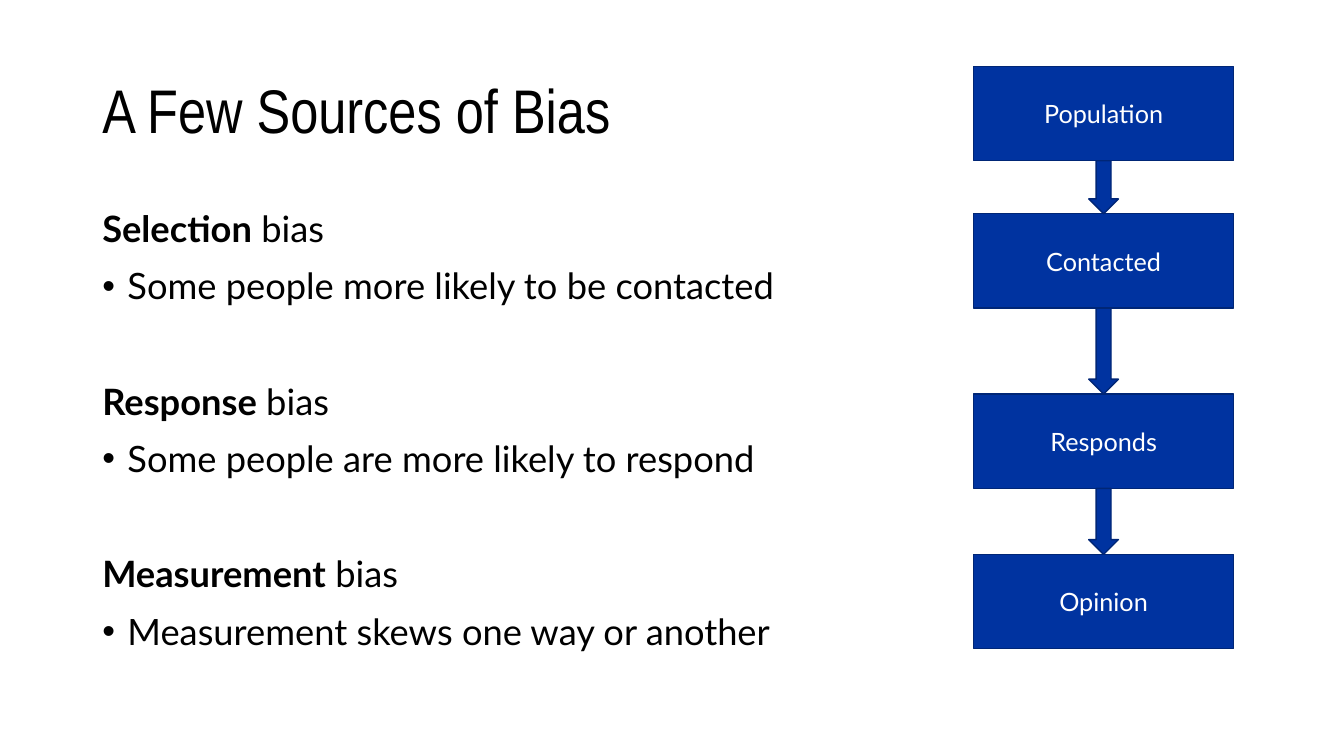
from lxml import etree
from pptx import Presentation
from pptx.dml.color import RGBColor
from pptx.enum.shapes import MSO_SHAPE as Shape
from pptx.enum.text import MSO_ANCHOR as Anchor, PP_ALIGN as Align
from pptx.oxml.ns import qn
from pptx.util import Pt

BLUE, EDGE, BLACK, WHITE = "0033A0", "002676", "000000", "FFFFFF"
BIASES = [
    ("Selection", "Some people more likely to be contacted"),
    ("Response", "Some people are more likely to respond"),
    ("Measurement", "Measurement skews one way or another"),
]
STAGES = [("Population", 0), ("Contacted", 105.3), ("Responds", 234), ("Opinion", 348.6)]


def color(code):
    return RGBColor.from_string(code)


def style(font, name, size, code):
    font.name, font.size = name, Pt(size)
    font.color.rgb = color(code)


def add_text(slide, left, top, width, height, anchor):
    box = slide.shapes.add_textbox(Pt(left), Pt(top), Pt(width), Pt(height))
    frame = box.text_frame
    frame.word_wrap = True
    frame.vertical_anchor = anchor
    return frame


def add_title(slide, left, top, width, height):
    frame = add_text(slide, left, top, width, height, Anchor.MIDDLE)
    frame.text = "A Few Sources of Bias"
    line = frame.paragraphs[0]
    line.line_spacing = 0.9
    style(line.runs[0].font, "Arial Narrow", 44, BLACK)


def add_bullet(line):
    props = line._p.get_or_add_pPr()
    props.set("marL", str(Pt(18)))
    props.set("indent", str(-Pt(18)))
    etree.SubElement(props, qn("a:buFont")).set("typeface", "Arial")
    etree.SubElement(props, qn("a:buChar")).set("char", "•")


def add_biases(slide, left, top, width, height):
    frame = add_text(slide, left, top, width, height, Anchor.TOP)
    for i, (kind, detail) in enumerate(BIASES):
        head = frame.add_paragraph() if i else frame.paragraphs[0]
        if i:
            head.space_before = Pt(51.1)
        for word, bold in ((kind, True), (" bias", False)):
            run = head.add_run()
            run.text = word
            style(run.font, "Lato", 25.9, BLACK)
            run.font.bold = bold
        point = frame.add_paragraph()
        point.text = detail
        add_bullet(point)
        point.space_before = Pt(10)
        style(point.runs[0].font, "Lato", 25.9, BLACK)


def add_block(slide, kind, left, top, width, height):
    block = slide.shapes.add_shape(kind, Pt(left), Pt(top), Pt(width), Pt(height))
    block.shadow.inherit = False
    block.fill.solid()
    block.fill.fore_color.rgb = color(BLUE)
    block.line.color.rgb = color(EDGE)
    block.line.width = Pt(1)
    return block


def add_flow(slide, left, top, width, high=67.4, thick=21.2):
    for label, drop in STAGES:
        block = add_block(slide, Shape.RECTANGLE, left, top + drop, width, high)
        frame = block.text_frame
        frame.text = label
        frame.vertical_anchor = Anchor.MIDDLE
        line = frame.paragraphs[0]
        line.alignment = Align.CENTER
        style(line.runs[0].font, "Lato", 18, WHITE)
    middle = left + (width - thick) / 2
    for (_, drop), (_, after) in zip(STAGES, STAGES[1:]):
        add_block(slide, Shape.DOWN_ARROW, middle, top + drop + high,
                  thick, after - drop - high)


def main():
    deck = Presentation()
    deck.slide_width, deck.slide_height = Pt(960), Pt(540)
    slide = deck.slides.add_slide(deck.slide_layouts[6])
    add_title(slide, 66, 28.75, 828, 104.4)
    add_biases(slide, 66, 143.75, 828, 342.6)
    add_flow(slide, 695.4, 47.4, 185.8)
    deck.save("out.pptx")


if __name__ == "__main__":
    main()
